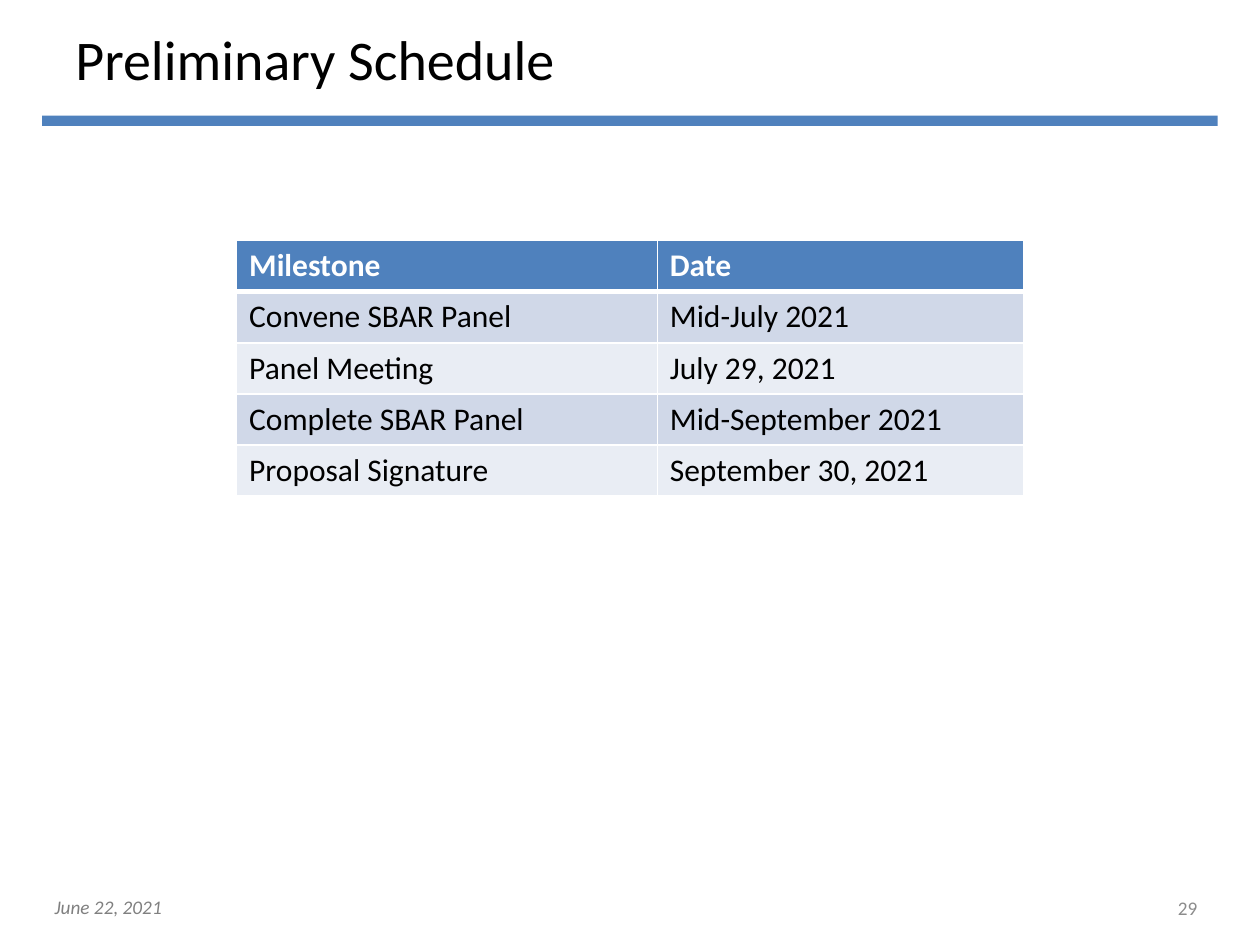
from lxml.etree import SubElement as Sub
from pptx import Presentation
from pptx.dml.color import RGBColor
from pptx.enum.shapes import MSO_SHAPE as Preset
from pptx.enum.text import MSO_ANCHOR as Anchor, PP_ALIGN as Align
from pptx.oxml.ns import qn
from pptx.util import Cm, Pt

COLORS = {
    "accent": "4F81BD",
    "band_dark": "D0D8E8",
    "band_light": "E9EDF4",
    "white": "FFFFFF",
    "black": "000000",
    "date": "808080",
    "number": "8C8C8C",
}

SCHEDULE = [
    ("Milestone", "Date"),
    ("Convene SBAR Panel", "Mid-July 2021"),
    ("Panel Meeting", "July 29, 2021"),
    ("Complete SBAR Panel", "Mid-September 2021"),
    ("Proposal Signature", "September 30, 2021"),
]


class SlideBuilder:
    """Draw styled elements on the current slide."""

    def __init__(self, slide, font_name="Calibri"):
        self.slide = slide
        self.font_name = font_name

    def color(self, name):
        return RGBColor.from_string(COLORS[name])

    def style_text(self, paragraph, text, color, **formats):
        paragraph.text = text
        font = paragraph.runs[0].font
        for name, value in {"name": self.font_name, **formats}.items():
            setattr(font, name, value)
        font.color.rgb = self.color(color)

    def bar(self, box, color):
        shape = self.slide.shapes.add_shape(Preset.RECTANGLE, *map(Cm, box))
        shape.shadow.inherit = False
        shape.fill.solid()
        shape.fill.fore_color.rgb = self.color(color)
        shape.line.fill.background()

    def text(self, box, text, color, anchor=Anchor.TOP, align=Align.LEFT, **formats):
        frame = self.slide.shapes.add_textbox(*map(Cm, box)).text_frame
        frame.word_wrap = True
        frame.vertical_anchor = anchor
        paragraph = frame.paragraphs[0]
        paragraph.alignment = align
        self.style_text(paragraph, text, color, **formats)

    def border(self, cell, side, width):
        properties = cell._tc.get_or_add_tcPr()
        line = Sub(properties, qn(f"a:ln{side}"), w=str(Pt(width)))
        Sub(Sub(line, qn("a:solidFill")), qn("a:srgbClr"), val=COLORS["white"])

    def table(self, left, top, widths, row_height, rows):
        box = (left, top, sum(widths), row_height * len(rows))
        shape = self.slide.shapes.add_table(len(rows), len(widths), *map(Cm, box))
        table = shape.table
        for column, width in zip(table.columns, widths):
            column.width = Cm(width)
        for index, values in enumerate(rows):
            table.rows[index].height = Cm(row_height)
            header = index == 0
            fill = "accent" if header else ("band_light", "band_dark")[index % 2]
            borders = {"L": 1, "R": 1, "T": 3 if index == 1 else 1, "B": 3 if header else 1}
            for cell, value in zip(table.rows[index].cells, values):
                for side, width in borders.items():
                    self.border(cell, side, width)
                cell.fill.solid()
                cell.fill.fore_color.rgb = self.color(fill)
                self.style_text(cell.text_frame.paragraphs[0], value,
                                "white" if header else "black", size=Pt(18), bold=header)


def main():
    presentation = Presentation()
    presentation.slide_width, presentation.slide_height = Cm(25.4), Cm(19.05)
    builder = SlideBuilder(presentation.slides.add_slide(presentation.slide_layouts[6]))
    builder.bar((0.85, 2.33, 23.7, 0.21), "accent")
    builder.text((0.85, 17.93, 15.04, 0.73), "June 22, 2021", "date",
                 size=Pt(11), italic=True)
    builder.text((1.27, 0, 22.86, 2.33), "Preliminary Schedule", "black",
                 anchor=Anchor.MIDDLE, size=Pt(32))
    builder.table(4.77, 4.85, (8.48, 7.39), 1.03, SCHEDULE)
    builder.text((18.47, 17.93, 5.92, 0.73), "29", "number",
                 anchor=Anchor.MIDDLE, align=Align.RIGHT, size=Pt(11))
    presentation.save("out.pptx")


if __name__ == "__main__":
    main()
